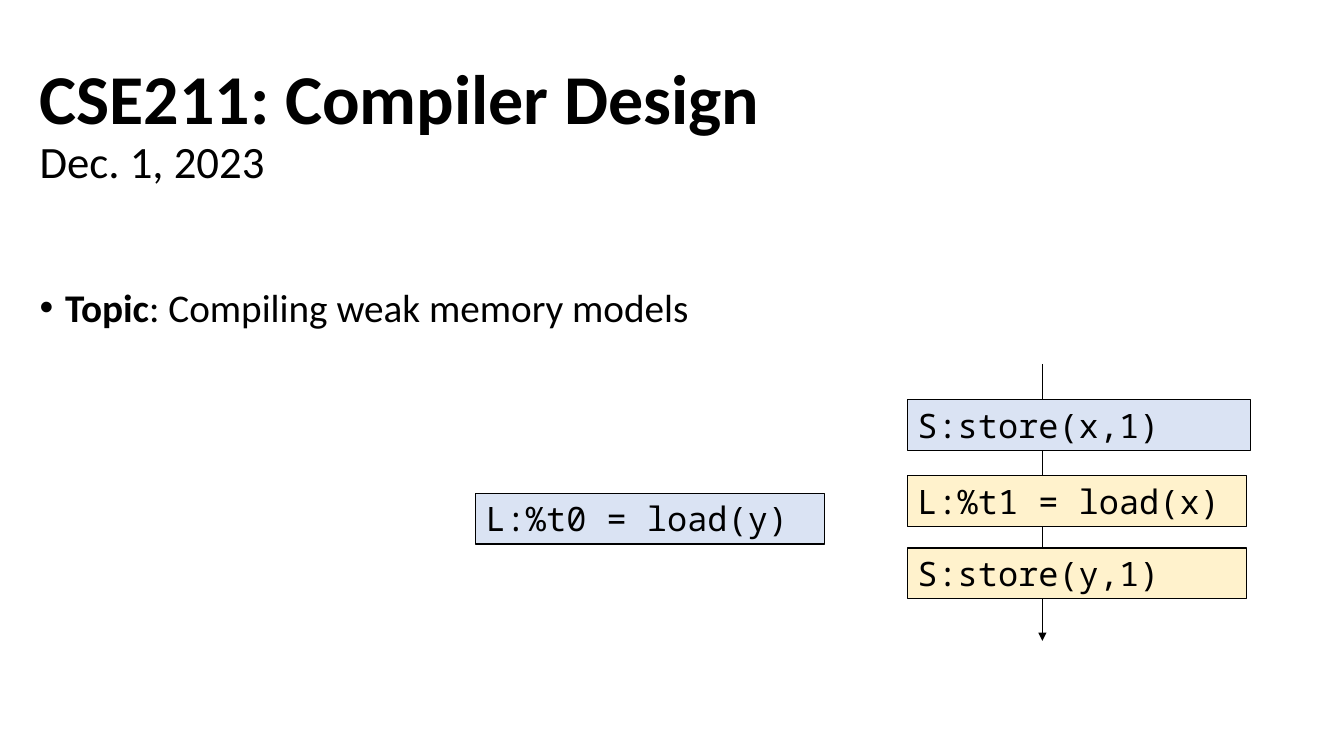
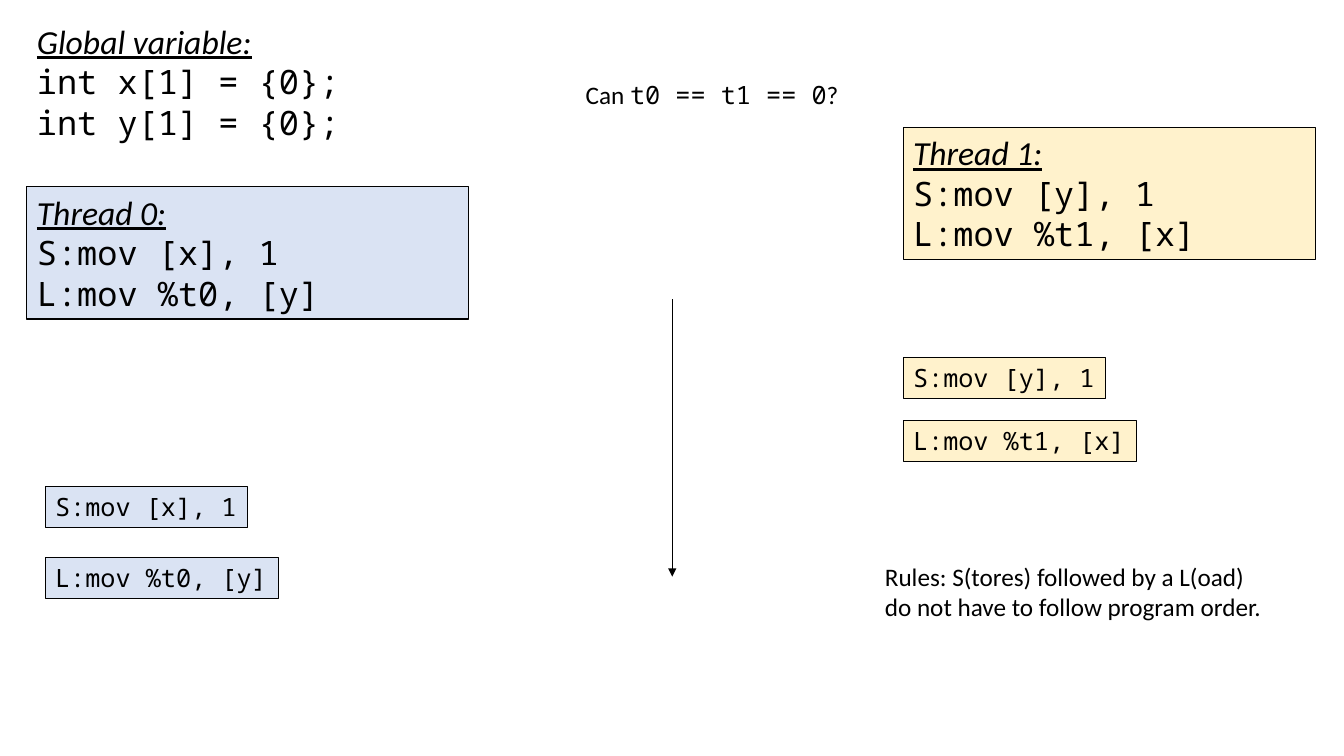
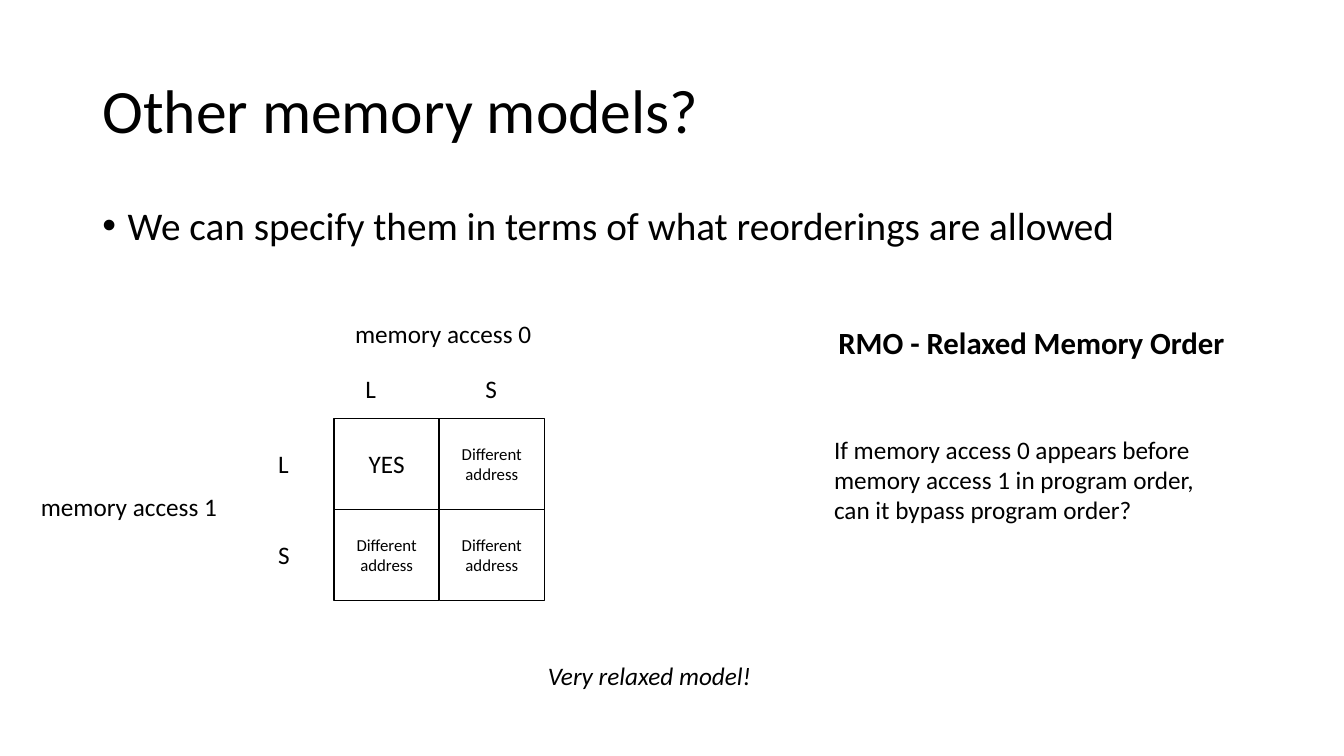
from dataclasses import dataclass, replace

from lxml import etree
from pptx import Presentation
from pptx.dml.color import RGBColor
from pptx.enum.shapes import MSO_CONNECTOR, MSO_SHAPE
from pptx.enum.text import MSO_ANCHOR, MSO_AUTO_SIZE, PP_ALIGN
from pptx.oxml.ns import qn
from pptx.util import Cm, Pt

# Shared look
BLACK = RGBColor(0x00, 0x00, 0x00)
WHITE = RGBColor(0xFF, 0xFF, 0xFF)
BLUE = RGBColor(0xDA, 0xE3, 0xF3)
YELLOW = RGBColor(0xFF, 0xF2, 0xCC)
RECTANGLE = MSO_SHAPE.RECTANGLE
STRAIGHT = MSO_CONNECTOR.STRAIGHT
MIDDLE, TOP = MSO_ANCHOR.MIDDLE, MSO_ANCHOR.TOP
LEFT, CENTER = PP_ALIGN.LEFT, PP_ALIGN.CENTER
FIT_SHAPE, FIXED_SIZE = MSO_AUTO_SIZE.SHAPE_TO_FIT_TEXT, MSO_AUTO_SIZE.NONE
SMALL_BOX_HEIGHT = 1.03
BIG_BOX_HEIGHT = 1.28
THREAD_HEIGHT = 3.33


@dataclass(frozen=True)
class Style:
    size: int
    font: str = "Calibri"
    bold: bool = False
    italic: bool = False
    underline: bool = False


LABEL = Style(18)
CELL_NOTE = Style(12)
BODY = Style(28)
TITLE = Style(44)
CODE = Style(24, "Noto Sans Mono")
SMALL_CODE = replace(CODE, size=18)
HEADING = Style(24, italic=True, underline=True)


# Text
def add_runs(paragraph, runs):
    """Add (text, style) runs; a newline becomes a line break."""
    for text, style in runs:
        for index, line in enumerate(text.split("\n")):
            if index:
                paragraph.add_line_break()
            if not line:
                continue
            run = paragraph.add_run()
            run.text = line
            font = run.font
            font.name, font.size = style.font, Pt(style.size)
            font.bold, font.italic = style.bold, style.italic
            font.underline = style.underline
            font.color.rgb = BLACK


def fill_frame(frame, paragraphs, wrap=True, fit=FIT_SHAPE, anchor=TOP, align=LEFT):
    frame.word_wrap = wrap
    frame.auto_size = fit
    frame.vertical_anchor = anchor
    for index, runs in enumerate(paragraphs):
        paragraph = frame.add_paragraph() if index else frame.paragraphs[0]
        paragraph.alignment = align
        add_runs(paragraph, runs)


def add_text(slide, box, *paragraphs, **options):
    shape = slide.shapes.add_textbox(*map(Cm, box))
    fill_frame(shape.text_frame, paragraphs, **options)
    return shape


def add_label(slide, box, text, style=LABEL):
    add_text(slide, box, [(text, style)], wrap=False)


def add_title(slide, box, *runs):
    shape = add_text(slide, box, runs, fit=FIXED_SIZE, anchor=MIDDLE)
    shape.text_frame.paragraphs[0].line_spacing = 0.9


def add_bullet(slide, box, *runs):
    shape = add_text(slide, box, runs, fit=FIXED_SIZE)
    paragraph = shape.text_frame.paragraphs[0]
    paragraph.line_spacing = 0.9
    properties = paragraph._p.get_or_add_pPr()
    properties.set("marL", str(Cm(0.64)))
    properties.set("indent", str(Cm(-0.64)))
    etree.SubElement(properties, qn("a:buFont"), typeface="Arial")
    etree.SubElement(properties, qn("a:buChar"), char="•")


# Boxes and arrows
def add_box(slide, box, color, *paragraphs, line_width=0.75, **options):
    shape = slide.shapes.add_shape(RECTANGLE, *map(Cm, box))
    shape.shadow.inherit = False
    shape.fill.solid()
    shape.fill.fore_color.rgb = color
    shape.line.color.rgb = BLACK
    shape.line.width = Pt(line_width)
    fill_frame(shape.text_frame, paragraphs, **options)


def add_time_arrow(slide, x, top, bottom):
    arrow = slide.shapes.add_connector(STRAIGHT, Cm(x), Cm(top), Cm(x), Cm(bottom))
    arrow.line.color.rgb = BLACK
    arrow.line.width = Pt(0.5)
    etree.SubElement(arrow.line._get_or_add_ln(), qn("a:tailEnd"), type="triangle")
    etree.SubElement(arrow._element.spPr, qn("a:effectLst"))


def add_matrix(slide, left, top, cell_width, cell_height, rows):
    for row_index, row in enumerate(rows):
        for column_index, run in enumerate(row):
            box = (left + column_index * cell_width, top + row_index * cell_height,
                   cell_width, cell_height)
            add_box(slide, box, WHITE, [run], line_width=1,
                    fit=FIXED_SIZE, anchor=MIDDLE, align=CENTER)


# Slides
def build_opening(slide):
    add_title(slide, (0.75, 1.02, 29.21, 4.32),
              ("CSE211: Compiler Design \n", Style(50, bold=True)),
              ("Dec. 1, 2023", Style(32)))
    add_bullet(slide, (0.75, 7.14, 17.25, 11.51),
               ("Topic", replace(BODY, bold=True)),
               (": Compiling weak memory models", BODY))
    add_time_arrow(slide, 26.27, 9.17, 16.15)
    for left, top, width, color, code in (
            (11.99, 12.43, 8.79, BLUE, "L:%t0 = load(y)"),
            (22.87, 10.07, 8.64, BLUE, "S:store(x,1)"),
            (22.87, 11.99, 8.54, YELLOW, "L:%t1 = load(x)"),
            (22.87, 13.81, 8.54, YELLOW, "S:store(y,1)")):
        add_box(slide, (left, top, width, BIG_BOX_HEIGHT), color, [(code, CODE)])


def build_threads(slide):
    add_text(slide, (0.68, 0.4, 12.14, THREAD_HEIGHT),
             [("Global variable:", HEADING)],
             [("int x[1] = {0};\nint y[1] = {0};", CODE)])
    add_time_arrow(slide, 16.94, 7.54, 14.53)
    add_text(slide, (14.51, 1.87, 6.93, SMALL_BOX_HEIGHT),
             [("Can ", LABEL), ("t0 == t1 == 0", SMALL_CODE), ("?", LABEL)],
             wrap=False)

    # Each thread: its program, then its instructions as loose boxes
    for name, color, store, load, program_box, left, store_top, load_top in (
            ("Thread 0:", BLUE, "S:mov [x], 1", "L:mov %t0, [y]",
             (0.68, 4.71, 11.13, THREAD_HEIGHT), 1.14, 12.26, 14.05),
            ("Thread 1:", YELLOW, "S:mov [y], 1", "L:mov %t1, [x]",
             (22.76, 3.21, 10.4, THREAD_HEIGHT), 22.76, 9.01, 10.59)):
        add_box(slide, program_box, color,
                [(name, HEADING)], [(store, CODE)], [(load, CODE)])
        for code, top, width in ((store, store_top, 5.11), (load, load_top, 5.88)):
            add_box(slide, (left, top, width, SMALL_BOX_HEIGHT), color,
                    [(code, SMALL_CODE)], wrap=False)

    add_label(slide, (22.05, 14.02, 10.11, 1.8),
              "Rules: S(tores) followed by a L(oad)\n"
              "do not have to follow program order.")


def build_memory_models(slide):
    add_title(slide, (2.33, 1.02, 29.21, 3.68), ("Other memory models?", TITLE))
    add_bullet(slide, (2.33, 5.08, 29.21, 1.93),
               ("We can specify them in terms of what reorderings are allowed", BODY))

    # Reordering matrix with its axis labels
    matrix_top, cell_height = 10.54, 2.3
    allowed, different = ("YES", LABEL), ("Different address", CELL_NOTE)
    add_matrix(slide, 8.42, matrix_top, 2.65, cell_height,
               [[allowed, different], [different, different]])
    add_label(slide, (8.7, 7.9, 5, SMALL_BOX_HEIGHT), "memory access 0")
    add_label(slide, (0.78, 12.25, 5, SMALL_BOX_HEIGHT), "memory access 1")
    for index, access in enumerate("LS"):
        add_label(slide, (8.96 + index * 3.02, 9.28, 0.8, SMALL_BOX_HEIGHT), access)
        row_top = matrix_top + 0.63 + index * cell_height
        add_label(slide, (6.76, row_top, 0.8, SMALL_BOX_HEIGHT), access)

    # Explanation
    add_label(slide, (20.88, 8.03, 10.36, 1.19),
              "RMO - Relaxed Memory Order", Style(22, bold=True))
    add_label(slide, (20.77, 10.82, 9.68, 2.57),
              "If memory access 0 appears before\n"
              "memory access 1 in program order,\n"
              "can it bypass program order?")
    add_label(slide, (13.56, 16.51, 5.69, SMALL_BOX_HEIGHT),
              "Very relaxed model!", replace(LABEL, italic=True))


def main():
    presentation = Presentation()
    presentation.slide_width = Cm(33.87)
    presentation.slide_height = Cm(19.05)
    blank_layout = presentation.slide_layouts[6]
    for build in (build_opening, build_threads, build_memory_models):
        build(presentation.slides.add_slide(blank_layout))
    presentation.save("out.pptx")


if __name__ == "__main__":
    main()
